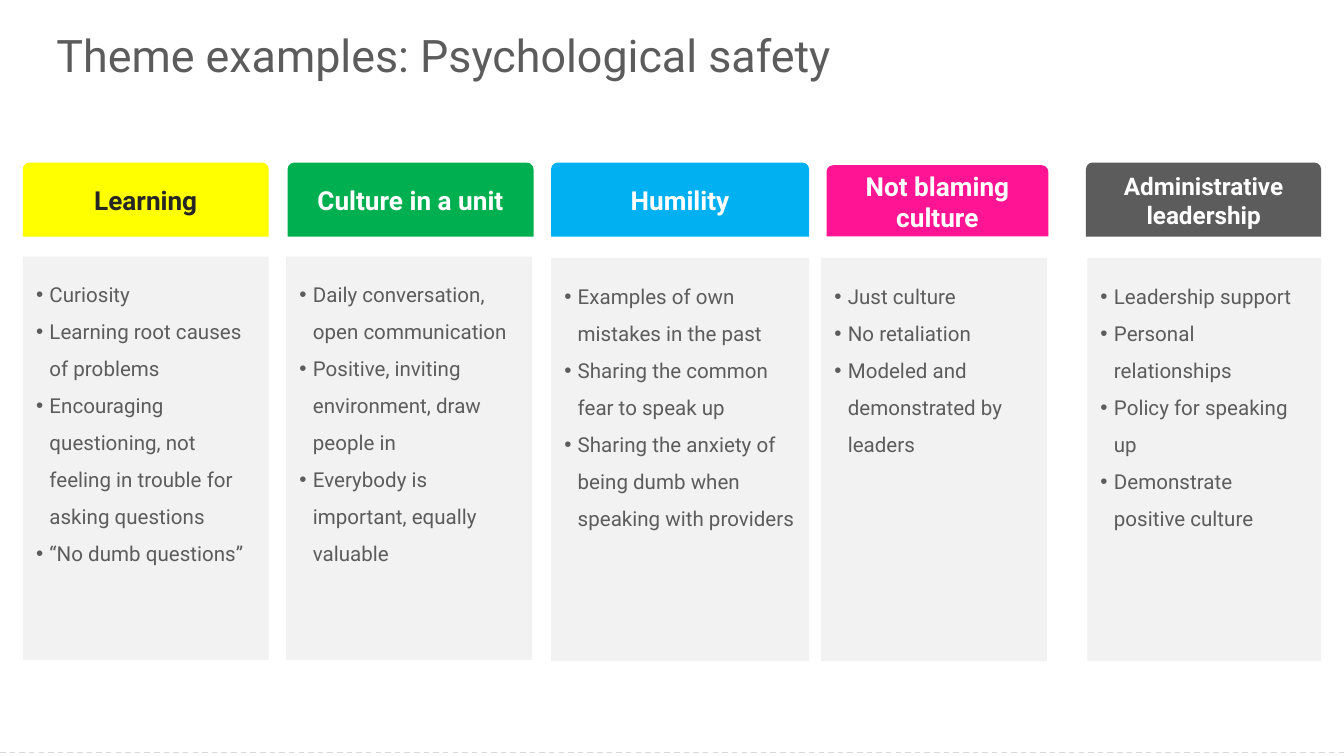
"""Build a slide of five psychological safety themes, each a header over a bulleted panel."""
from dataclasses import dataclass
from typing import Optional

from lxml import etree
from pptx import Presentation
from pptx.dml.color import RGBColor
from pptx.enum.dml import MSO_LINE
from pptx.enum.shapes import MSO_CONNECTOR, MSO_SHAPE
from pptx.enum.text import MSO_ANCHOR, PP_ALIGN
from pptx.oxml.ns import qn
from pptx.util import Inches, Pt

RECTANGLE = MSO_SHAPE.RECTANGLE
TAB = MSO_SHAPE.ROUND_2_SAME_RECTANGLE
STRAIGHT = MSO_CONNECTOR.STRAIGHT
DASH = MSO_LINE.DASH
TOP, MIDDLE = MSO_ANCHOR.TOP, MSO_ANCHOR.MIDDLE
LEFT, CENTER = PP_ALIGN.LEFT, PP_ALIGN.CENTER

YELLOW = RGBColor(0xFF, 0xFF, 0x00)
GREEN = RGBColor(0x00, 0xB0, 0x50)
BLUE = RGBColor(0x00, 0xB0, 0xF0)
PINK = RGBColor(0xFF, 0x14, 0x93)
GRAY = RGBColor(0x5C, 0x5C, 0x5C)
PALE = RGBColor(0xF2, 0xF2, 0xF2)
RULE = RGBColor(0xD9, 0xD9, 0xD9)
BLACK = RGBColor(0x26, 0x26, 0x26)
WHITE = RGBColor(0xFF, 0xFF, 0xFF)

FONT = "Roboto"
WIDTH = 10
HEIGHT = WIDTH * 9 / 16
HEADER_BOTTOM = 1.76
PANEL_HEIGHT = 3
INDENT = Inches(0.1)


@dataclass(frozen=True)
class Theme:
    """One column; the panel follows the header's span unless given its own."""
    heading: str
    points: tuple[str, ...]
    color: RGBColor
    left: float
    width: float
    header_top: float = 1.21
    panel_top: float = 1.92
    panel_left: Optional[float] = None
    panel_width: Optional[float] = None
    heading_color: RGBColor = WHITE
    heading_size: int = 14


THEMES = (
    Theme("Learning",
          ("Curiosity", "Learning root causes of problems",
           "Encouraging questioning, not feeling in trouble for asking questions",
           "“No dumb questions”"),
          YELLOW, 0.17, 1.83, panel_top=1.91, heading_color=BLACK),
    Theme("Culture in a unit",
          ("Daily conversation, open communication",
           "Positive, inviting environment, draw people in",
           "Everybody is important, equally valuable"),
          GREEN, 2.14, 1.83, panel_top=1.91, panel_left=2.13),
    Theme("Humility",
          ("Examples of own mistakes in the past",
           "Sharing the common fear to speak up",
           "Sharing the anxiety of being dumb when speaking with providers"),
          BLUE, 4.1, 1.92),
    Theme("Not blaming culture",
          ("Just culture", "No retaliation", "Modeled and demonstrated by leaders"),
          PINK, 6.15, 1.65, header_top=1.23, panel_left=6.11, panel_width=1.68),
    Theme("Administrative leadership",
          ("Leadership support", "Personal relationships",
           "Policy for speaking up", "Demonstrate positive culture"),
          GRAY, 8.08, 1.75, panel_left=8.09, panel_width=1.74, heading_size=13),
)


def style(paragraph, size: int, color: RGBColor, align=LEFT, bold: bool = False) -> None:
    """Set the paragraph's font and alignment."""
    paragraph.alignment = align
    paragraph.font.name = FONT
    paragraph.font.size = Pt(size)
    paragraph.font.color.rgb = color
    paragraph.font.bold = bold


def add_bullet(paragraph) -> None:
    """Give the paragraph a hanging bullet."""
    properties = paragraph._p.get_or_add_pPr()
    properties.set("marL", str(INDENT))
    properties.set("indent", str(-INDENT))
    bullet = etree.Element(qn("a:buChar"), char="•")
    properties.find(qn("a:defRPr")).addprevious(bullet)
    bullet.addprevious(etree.Element(qn("a:buFont"), typeface="Arial"))


def add_block(shapes, kind, left: float, top: float, width: float, height: float,
              color: RGBColor, anchor):
    """Add a flat filled shape ready for wrapped text."""
    block = shapes.add_shape(kind, Inches(left), Inches(top), Inches(width), Inches(height))
    block.shadow.inherit = False
    block.fill.solid()
    block.fill.fore_color.rgb = color
    block.line.fill.background()
    block.text_frame.word_wrap = True
    block.text_frame.vertical_anchor = anchor
    return block


def add_theme(slide, theme: Theme) -> None:
    """Draw one theme as a group of header and panel."""
    column = slide.shapes.add_group_shape().shapes
    header = add_block(column, TAB, theme.left, theme.header_top, theme.width,
                       HEADER_BOTTOM - theme.header_top, theme.color, MIDDLE)
    header.adjustments[0] = 0.09
    header.text_frame.text = theme.heading
    style(header.text_frame.paragraphs[0], theme.heading_size, theme.heading_color,
          CENTER, True)

    panel = add_block(column, RECTANGLE, theme.panel_left or theme.left, theme.panel_top,
                      theme.panel_width or theme.width, PANEL_HEIGHT, PALE, TOP)
    panel.text_frame.margin_top = Inches(0.1)
    panel.text_frame.text = "\n".join(theme.points)
    for point in panel.text_frame.paragraphs:
        style(point, 11, GRAY)
        point.line_spacing = 1.5
        add_bullet(point)


def add_title(slide, text: str) -> None:
    """Write the slide title."""
    frame = slide.shapes.add_textbox(Inches(0.42), Inches(0.18),
                                     Inches(9.15), Inches(0.45)).text_frame
    frame.word_wrap = True
    frame.vertical_anchor = MIDDLE
    frame.margin_left = frame.margin_right = frame.margin_top = frame.margin_bottom = 0
    frame.text = text
    style(frame.paragraphs[0], 24, GRAY)


def add_footer_rule(slide) -> None:
    """Draw the dashed rule across the foot of the slide."""
    rule = slide.shapes.add_connector(STRAIGHT, 0, Inches(5.6), Inches(WIDTH), Inches(5.6))
    rule.line.color.rgb = RULE
    rule.line.width = Pt(0.75)
    rule.line.dash_style = DASH
    etree.SubElement(rule._element.spPr, qn("a:effectLst"))


def main() -> None:
    """Assemble and save the slide."""
    deck = Presentation()
    deck.slide_width, deck.slide_height = Inches(WIDTH), Inches(HEIGHT)
    slide = deck.slides.add_slide(deck.slide_layouts[6])
    add_footer_rule(slide)
    add_title(slide, "Theme examples: Psychological safety")
    for theme in THEMES:
        add_theme(slide, theme)
    deck.save("out.pptx")


if __name__ == "__main__":
    main()
